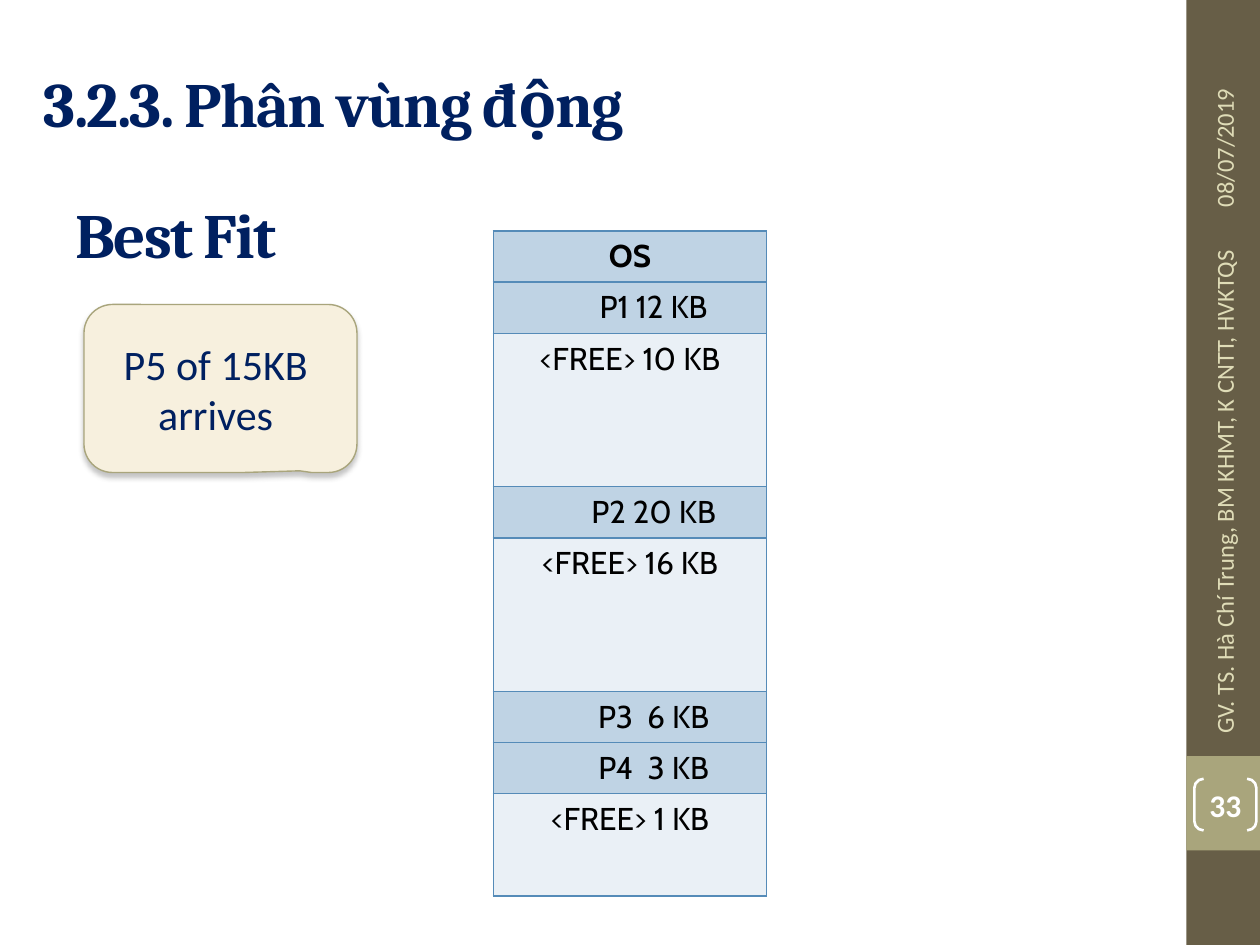
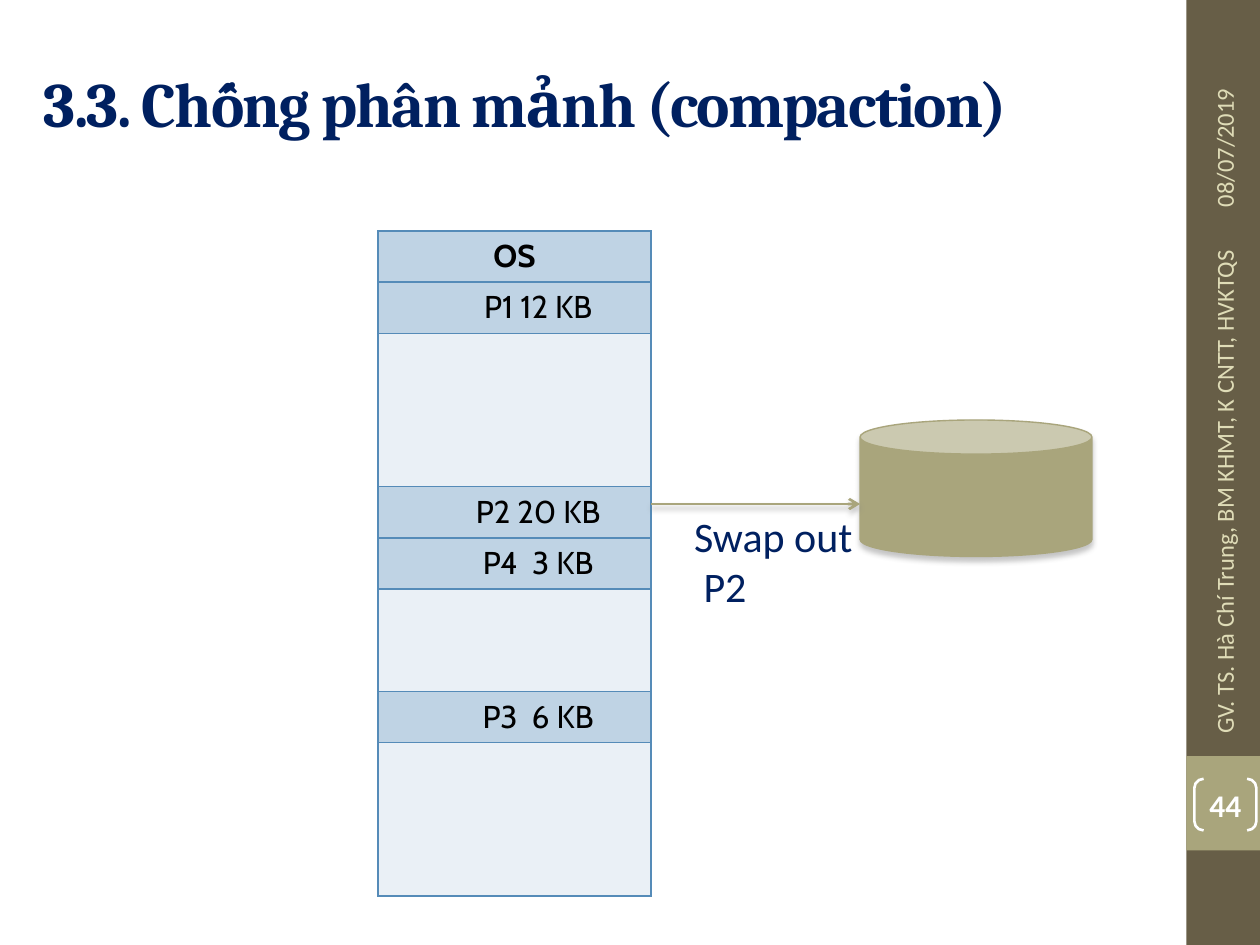
from dataclasses import dataclass

from lxml.etree import SubElement
from pptx import Presentation
from pptx.dml.color import RGBColor
from pptx.enum.shapes import MSO_CONNECTOR, MSO_SHAPE
from pptx.enum.text import MSO_ANCHOR as Anchor, PP_ALIGN as Align
from pptx.oxml.ns import qn
from pptx.util import Pt


@dataclass(frozen=True)
class Theme:
    """Colours, fonts and type sizes shared by the slides."""
    band: str = "675E47"
    accent: str = "A9A57C"
    footer: str = "DFDCB7"
    ink: str = "002060"
    white: str = "FFFFFF"
    black: str = "000000"
    callout: str = "F7F0DE"
    used: str = "BFD3E4"
    free: str = "EAF0F6"
    border: str = "558BB8"
    shadow: str = "808080"
    heading_font: str = "Cambria"
    body_font: str = "Calibri"
    table_font: str = "Cabin"
    heading_size: int = 36
    body_size: int = 24
    table_size: int = 18
    footer_size: int = 14


THEME = Theme()
MEMORY_TOP, MEMORY_WIDTH, ROW_HEIGHT = 132, 156, 29.25
PROCESS_INDENT = 27


def rgb(code):
    """Return a colour from its hexadecimal code."""
    return RGBColor.from_string(code)


def write_text(frame, text, font=THEME.body_font, size=THEME.body_size, color=THEME.ink,
               bold=False, align=Align.LEFT, anchor=Anchor.TOP, spacing=0):
    """Fill a text frame with one paragraph per line."""
    frame.word_wrap = True
    frame.vertical_anchor = anchor
    for index, line in enumerate(text.split("\n")):
        paragraph = frame.add_paragraph() if index else frame.paragraphs[0]
        paragraph.alignment = align
        run = paragraph.add_run()
        run.text = line
        run.font.name = font
        run.font.size = Pt(size)
        run.font.bold = bold
        run.font.color.rgb = rgb(color)
        if spacing:
            run.font._element.set("spc", str(spacing * 100))


def add_text(slide, box, text, rotation=0, **text_format):
    """Add a text box."""
    shape = slide.shapes.add_textbox(*map(Pt, box))
    shape.rotation = rotation
    write_text(shape.text_frame, text, **text_format)


def add_heading(slide, box, text):
    """Add a heading in the title style."""
    add_text(slide, box, text, font=THEME.heading_font, size=THEME.heading_size,
             bold=True, anchor=Anchor.MIDDLE, spacing=-1)


def add_shadow(effects):
    """Put the soft drop shadow into an effect list."""
    shadow = SubElement(effects, qn("a:outerShdw"), blurRad=str(Pt(3)),
                        dist=str(Pt(2.4)), dir="5400000", rotWithShape="0")
    color = SubElement(shadow, qn("a:srgbClr"), val=THEME.shadow)
    SubElement(color, qn("a:alpha"), val="45000")


def add_box(slide, kind, box, fill=None, line=None, line_width=0.79,
            adjustments=(), shadow=False):
    """Add a preset shape."""
    shape = slide.shapes.add_shape(kind, *map(Pt, box))
    shape.shadow.inherit = False
    for index, value in enumerate(adjustments):
        shape.adjustments[index] = value
    if fill:
        shape.fill.solid()
        shape.fill.fore_color.rgb = rgb(fill)
    else:
        shape.fill.background()
    if line:
        shape.line.color.rgb = rgb(line)
        shape.line.width = Pt(line_width)
    else:
        shape.line.fill.background()
    if shadow:
        add_shadow(shape._element.spPr.find(qn("a:effectLst")))
    return shape


def add_arrow(slide, start, end):
    """Add a shadowed arrow between two points."""
    arrow = slide.shapes.add_connector(MSO_CONNECTOR.STRAIGHT, *map(Pt, start + end))
    arrow.line.color.rgb = rgb(THEME.accent)
    arrow.line.width = Pt(1.5)
    SubElement(arrow.line._get_or_add_ln(), qn("a:tailEnd"), type="arrow")
    add_shadow(SubElement(arrow._element.spPr, qn("a:effectLst")))


def set_border(cell, side, visible):
    """Draw or hide one border of a cell."""
    line = SubElement(cell._tc.get_or_add_tcPr(), qn(f"a:ln{side}"), w=str(Pt(1)))
    if visible:
        fill = SubElement(line, qn("a:solidFill"))
        SubElement(fill, qn("a:srgbClr"), val=THEME.border)
    else:
        SubElement(line, qn("a:noFill"))


def add_memory(slide, left, blocks):
    """Add the memory map from (label, row count) blocks."""
    row_count = sum(rows for _, rows in blocks)
    frame = slide.shapes.add_table(row_count, 1, Pt(left), Pt(MEMORY_TOP),
                                   Pt(MEMORY_WIDTH), Pt(ROW_HEIGHT * row_count))
    table = frame.table
    table.first_row = table.horz_banding = False
    for row in table.rows:
        row.height = Pt(ROW_HEIGHT)
    row_index = 0
    for label, rows in blocks:
        for offset in range(rows):
            cell = table.cell(row_index, 0)
            for side, visible in (("L", True), ("R", True), ("T", offset == 0),
                                  ("B", offset == rows - 1)):
                set_border(cell, side, visible)
            cell.fill.solid()
            cell.fill.fore_color.rgb = rgb(THEME.used if rows == 1 else THEME.free)
            if label and offset == 0:
                write_text(cell.text_frame, label, font=THEME.table_font,
                           size=THEME.table_size, color=THEME.black,
                           bold=label == "OS", align=Align.CENTER)
                if label.startswith("P"):
                    cell.margin_left = Pt(7.2 + PROCESS_INDENT)
            row_index += 1


def add_base_slide(presentation, title, number):
    """Add a blank slide with the side band, footers and title."""
    slide = presentation.slides.add_slide(presentation.slide_layouts[6])
    add_box(slide, MSO_SHAPE.RECTANGLE, (678, 0, 42, 540), THEME.band)
    add_box(slide, MSO_SHAPE.RECTANGLE, (678, 432, 42, 54), THEME.accent)
    for box, text in (((636.5, 48, 126, 29), "08/07/2019"),
                      ((549.5, 262, 300, 29), "GV. TS. Hà Chí Trung, BM KHMT, K CNTT, HVKTQS")):
        add_text(slide, box, text, rotation=270, size=THEME.footer_size,
                 color=THEME.footer, anchor=Anchor.MIDDLE)
    badge = add_box(slide, MSO_SHAPE.DOUBLE_BRACKET, (682.5, 445, 35.5, 29.5),
                    line=THEME.white, line_width=1.5, adjustments=(0.18,))
    frame = badge.text_frame
    frame.margin_left = frame.margin_right = frame.margin_top = frame.margin_bottom = 0
    write_text(frame, str(number), size=THEME.table_size, color=THEME.white,
               bold=True, align=Align.CENTER, anchor=Anchor.MIDDLE)
    add_heading(slide, (18, 21.5, 642, 74), title)
    return slide


def build_best_fit(presentation):
    """Build the best fit slide."""
    slide = add_base_slide(presentation, "3.2.3. Phân vùng động", 33)
    add_memory(slide, 282, [("OS", 1), ("P1 12 KB", 1), ("<FREE> 10 KB", 3),
                            ("P2 20 KB", 1), ("<FREE> 16 KB", 3), ("P3  6 KB", 1),
                            ("P4  3 KB", 1), ("<FREE> 1 KB", 2)])
    callout = add_box(slide, MSO_SHAPE.ROUNDED_RECTANGULAR_CALLOUT, (48, 174, 156, 96),
                      THEME.callout, THEME.accent, adjustments=(0.29, 0.49, 0.17),
                      shadow=True)
    callout.text_frame.margin_right = Pt(12.5)
    write_text(callout.text_frame, "P5 of 15KB\narrives", align=Align.CENTER,
               anchor=Anchor.MIDDLE)
    add_heading(slide, (36, 102, 210, 63), "Best Fit")


def build_compaction(presentation):
    """Build the compaction slide."""
    slide = add_base_slide(presentation, "3.3. Chống phân mảnh (compaction)", 44)
    add_memory(slide, 216, [("OS", 1), ("P1 12 KB", 1), ("", 3), ("P2 20 KB", 1),
                            ("P4  3 KB", 1), ("", 2), ("P3  6 KB", 1), ("", 3)])
    add_box(slide, MSO_SHAPE.CAN, (491.5, 240, 132.5, 78), THEME.accent, THEME.accent,
            adjustments=(0.25,), shadow=True)
    add_arrow(slide, (372, 288), (491.5, 288))
    add_text(slide, (389.5, 288, 120, 65.5), "Swap out\n P2")


def main():
    """Build and save the presentation."""
    presentation = Presentation()
    presentation.slide_width, presentation.slide_height = Pt(720), Pt(540)
    build_best_fit(presentation)
    build_compaction(presentation)
    presentation.save("out.pptx")


if __name__ == "__main__":
    main()
